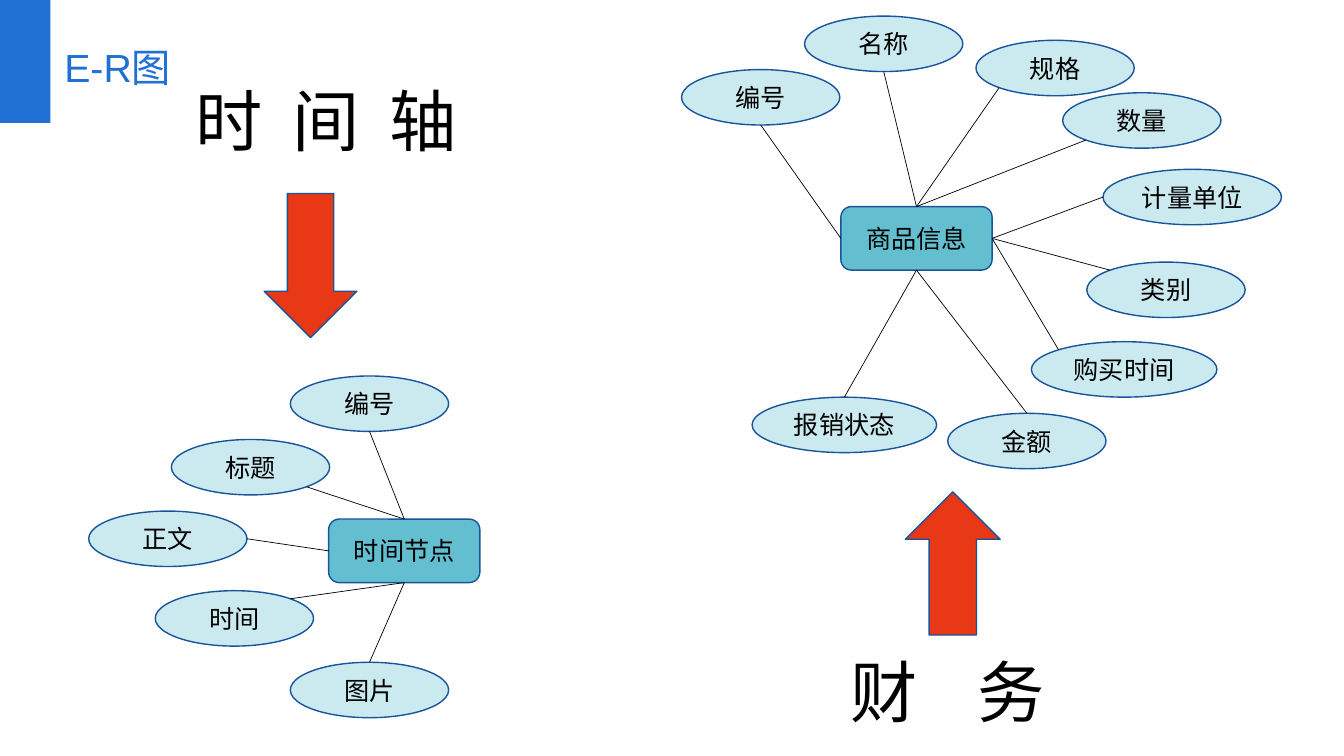
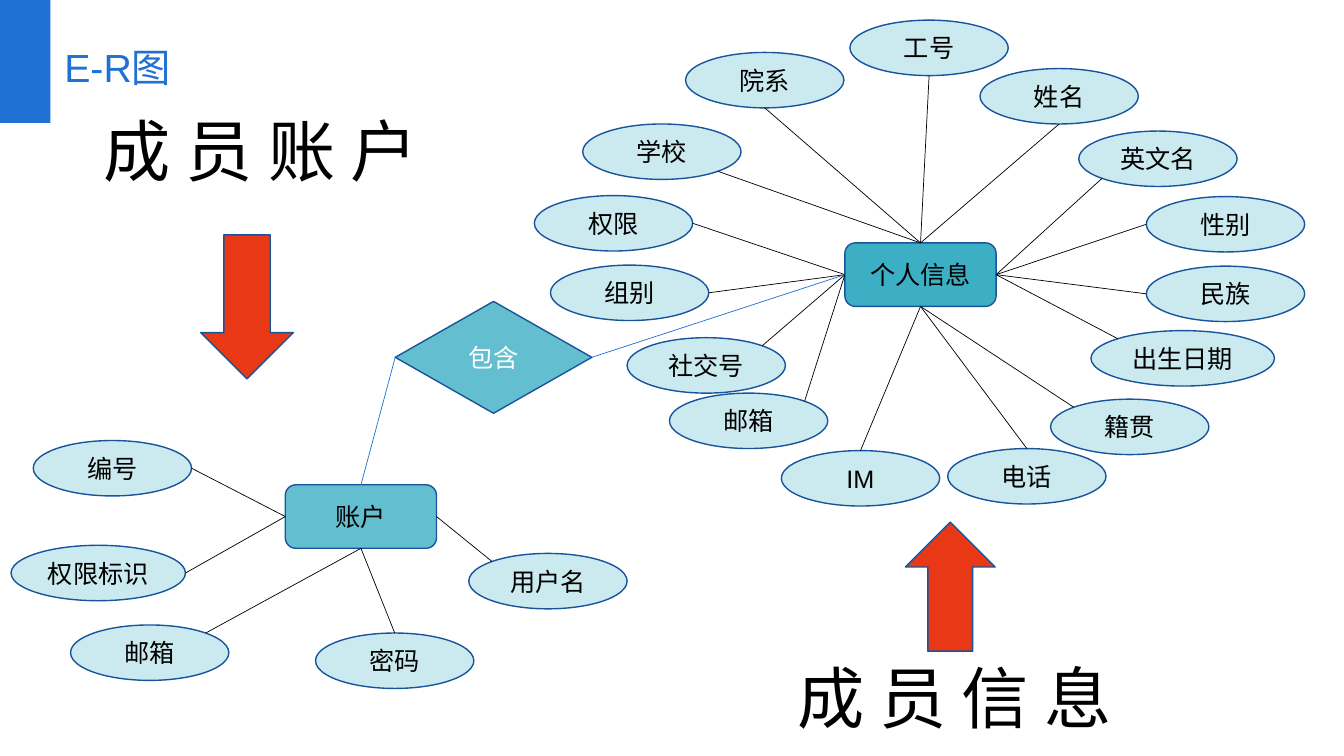
from lxml.etree import SubElement
from pptx import Presentation
from pptx.dml.color import RGBColor
from pptx.enum.shapes import MSO_CONNECTOR, MSO_SHAPE
from pptx.enum.text import MSO_ANCHOR, PP_ALIGN
from pptx.oxml.ns import qn
from pptx.util import Inches, Pt

COLORS = {
    "brand": "2071D3", "outline": "18549C", "entity": "63BFCF", "entity_dark": "3CAFC4",
    "attribute": "CBEAEF", "arrow": "E93815", "text": "000000", "light_text": "FFFFFF",
}
FONT = "Arial"
TITLE = "E-R图"
ENTITY_SIZE = (1.5, 0.63)
ATTRIBUTE_WIDTH, ATTRIBUTE_HEIGHT = 1.57, 0.55
DIAGONAL = 0.5 ** 0.5
DIRECTIONS = {
    "n": (0, -1), "s": (0, 1), "w": (-1, 0), "e": (1, 0),
    "nw": (-DIAGONAL, -DIAGONAL), "ne": (DIAGONAL, -DIAGONAL),
    "sw": (-DIAGONAL, DIAGONAL), "se": (DIAGONAL, DIAGONAL),
}
SITES = {"n": 0, "w": 1, "s": 2, "e": 3}

# attribute rows: label, left, top, side of the entity, side of the ellipse, optional width
SLIDES = [
    {
        "entities": [
            {"label": "时间节点", "at": (3.26, 5.15), "fill": "entity", "attributes": [
                ("编号", 2.88, 3.73, "n", "s"),
                ("标题", 1.7, 4.36, "n", "se"),
                ("正文", 0.88, 5.07, "w", "e"),
                ("时间", 1.54, 5.86, "s", "ne"),
                ("图片", 2.88, 6.57, "s", "n"),
            ]},
            {"label": "商品信息", "at": (8.34, 2.05), "fill": "entity", "attributes": [
                ("编号", 6.76, 0.69, "w", "s"),
                ("名称", 7.98, 0.16, "n", "s"),
                ("规格", 9.68, 0.4, "n", "sw"),
                ("数量", 10.54, 0.92, "n", "sw"),
                ("计量单位", 10.94, 1.68, "e", "w", 1.77),
                ("类别", 10.78, 2.6, "e", "nw"),
                ("购买时间", 10.23, 3.39, "e", "nw", 1.84),
                ("金额", 9.4, 4.1, "s", "n"),
                ("报销状态", 7.46, 3.94, "s", "n", 1.83),
            ]},
        ],
        "headings": [("时 间 轴", (1.84, 0.74, 3.12, 0.91), 5.35),
                     ("财 务", (8.34, 6.4, 4.15, 0.91), 16)],
        "arrows": [(MSO_SHAPE.DOWN_ARROW, (2.62, 1.92, 0.92, 1.43)),
                   (MSO_SHAPE.UP_ARROW, (8.98, 4.88, 0.94, 1.42))],
    },
    {
        "entities": [
            {"label": "账户", "at": (2.83, 4.81), "fill": "entity", "attributes": [
                ("编号", 0.33, 4.37, "w", "e"),
                ("权限标识", 0.11, 5.41, "w", "e", 1.73),
                ("邮箱", 0.7, 6.2, "s", "ne"),
                ("密码", 3.13, 6.28, "s", "n"),
                ("用户名", 4.65, 5.49, "e", "nw"),
            ]},
            {"label": "个人信息", "at": (8.38, 2.41), "fill": "entity_dark", "attributes": [
                ("工号", 8.43, 0.2, "n", "s"),
                ("姓名", 9.72, 0.68, "n", "s"),
                ("英文名", 10.7, 1.3, "e", "sw"),
                ("性别", 11.37, 1.95, "e", "w"),
                ("民族", 11.37, 2.64, "e", "w"),
                ("出生日期", 10.82, 3.28, "e", "nw", 1.82),
                ("籍贯", 10.42, 3.96, "s", "nw"),
                ("电话", 9.4, 4.45, "s", "n"),
                ("IM", 7.75, 4.47, "s", "n"),
                ("邮箱", 6.64, 3.9, "w", "ne"),
                ("社交号", 6.22, 3.35, "w", "ne"),
                ("组别", 5.46, 2.63, "w", "e"),
                ("权限", 5.3, 1.94, "w", "e"),
                ("学校", 5.78, 1.23, "n", "se"),
                ("院系", 6.8, 0.52, "n", "s"),
            ]},
        ],
        "headings": [("成 员 账 户", (0.93, 1.04, 4.92, 0.91), 0),
                     ("成 员 信 息", (7.81, 6.46, 4.15, 0.91), 0)],
        "arrows": [(MSO_SHAPE.DOWN_ARROW, (1.99, 2.33, 0.92, 1.43)),
                   (MSO_SHAPE.UP_ARROW, (8.98, 5.18, 0.89, 1.28))],
        "relation": ("包含", (3.92, 2.99, 1.95, 1.11), [("w", "账户", "n"), ("e", "个人信息", "w")]),
    },
]


def color(name):
    return RGBColor.from_string(COLORS[name])


def add_run(paragraph, text, size, color_name, spacing=0):
    run = paragraph.add_run()
    run.text = text
    run.font.name = FONT
    run.font.size = Pt(size)
    run.font.color.rgb = color(color_name)
    if spacing:
        run.font._element.set("spc", str(round(spacing * 100)))


def add_box(slide, kind, box, fill, label="", text_color="text", outlined=True):
    shape = slide.shapes.add_shape(kind, *map(Inches, box))
    shape.shadow.inherit = False
    shape.fill.solid()
    shape.fill.fore_color.rgb = color(fill)
    if outlined:
        shape.line.color.rgb = color("outline")
        shape.line.width = Pt(1)
    else:
        shape.line.fill.background()
    if label:
        frame = shape.text_frame
        frame.word_wrap = True
        frame.margin_left = frame.margin_right = 0
        frame.vertical_anchor = MSO_ANCHOR.MIDDLE
        paragraph = frame.paragraphs[0]
        paragraph.alignment = PP_ALIGN.CENTER
        add_run(paragraph, label, 18, text_color)
    return shape


def add_text(slide, text, box, size, color_name, spacing=0, line_spacing=None):
    frame = slide.shapes.add_textbox(*map(Inches, box)).text_frame
    frame.word_wrap = True
    paragraph = frame.paragraphs[0]
    paragraph.line_spacing = line_spacing
    add_run(paragraph, text, size, color_name, spacing)


def add_link(slide, start, side, end, color_name):
    connector = slide.shapes.add_connector(MSO_CONNECTOR.STRAIGHT, 0, 0, *end)
    connector.begin_connect(start, SITES[side])
    connector.line.color.rgb = color(color_name)
    connector.line.width = Pt(0.5)
    SubElement(connector._element.spPr, qn("a:effectLst"))
    return connector


def edge_point(shape, side):
    across, down = DIRECTIONS[side]
    return (round(shape.left + shape.width * (1 + across) / 2),
            round(shape.top + shape.height * (1 + down) / 2))


def add_entity(slide, entity):
    center = add_box(slide, MSO_SHAPE.ROUNDED_RECTANGLE, entity["at"] + ENTITY_SIZE,
                     entity["fill"], entity["label"])
    for label, left, top, entity_side, attribute_side, *width in entity["attributes"]:
        box = (left, top, width[0] if width else ATTRIBUTE_WIDTH, ATTRIBUTE_HEIGHT)
        ellipse = add_box(slide, MSO_SHAPE.OVAL, box, "attribute", label)
        add_link(slide, center, entity_side, edge_point(ellipse, attribute_side), "text")
    return center


def add_relation(slide, relation, entities):
    label, box, links = relation
    diamond = add_box(slide, MSO_SHAPE.FLOWCHART_DECISION, box, "entity", label, "light_text")
    for side, entity_label, entity_side in links:
        entity = entities[entity_label]
        connector = add_link(slide, diamond, side, edge_point(entity, entity_side), "brand")
        connector.end_connect(entity, SITES[entity_side])


def add_title(slide):
    add_box(slide, MSO_SHAPE.RECTANGLE, (0, -0.03, 0.5, 1.25), "brand", outlined=False)
    add_text(slide, TITLE, (0.54, 0.24, 4.02, 0.88), 28, "brand", line_spacing=1.3)


def main():
    presentation = Presentation()
    presentation.slide_width, presentation.slide_height = Inches(13.33), Inches(7.5)
    for content in SLIDES:
        slide = presentation.slides.add_slide(presentation.slide_layouts[6])
        entities = {entity["label"]: add_entity(slide, entity) for entity in content["entities"]}
        for text, box, spacing in content["headings"]:
            add_text(slide, text, box, 48, "text", spacing)
        for kind, box in content["arrows"]:
            add_box(slide, kind, box, "arrow")
        if "relation" in content:
            add_relation(slide, content["relation"], entities)
        add_title(slide)
    presentation.save("out.pptx")


if __name__ == "__main__":
    main()
